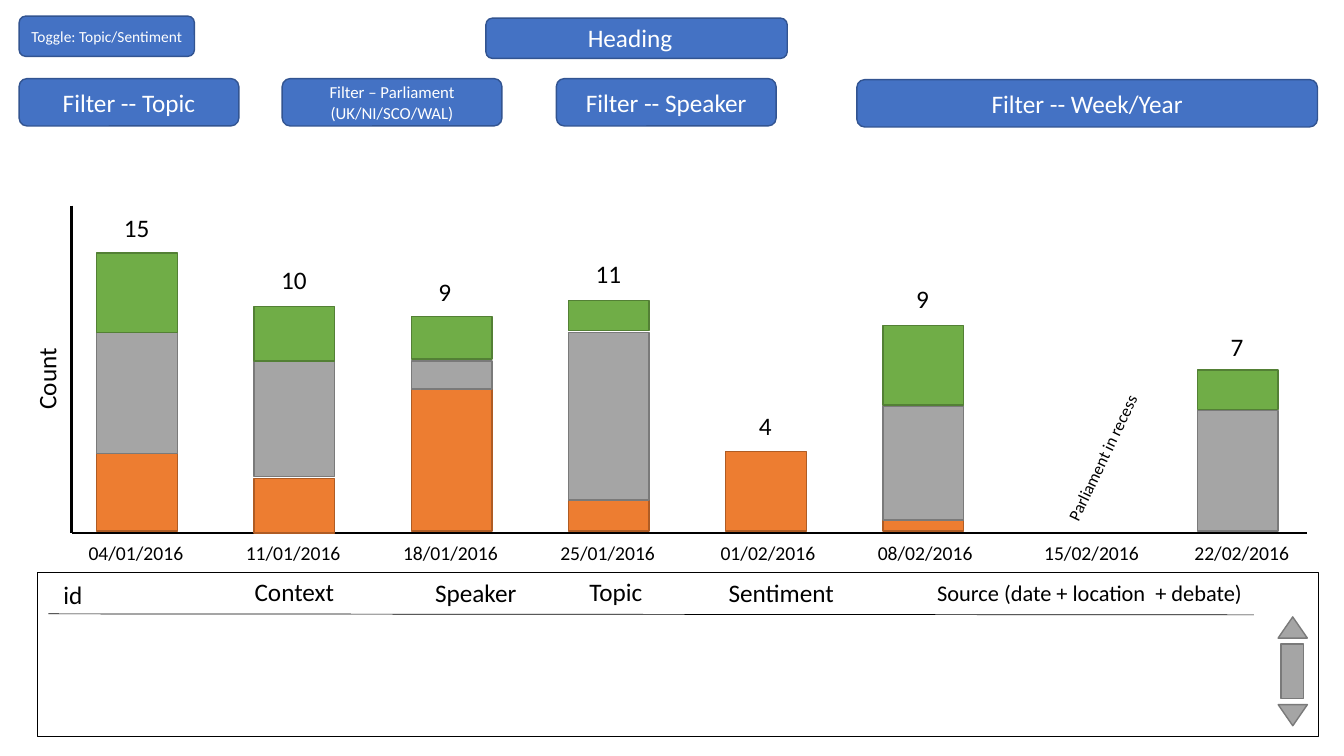
import pptx
import pptx.util
import pptx.dml.color
import pptx.enum.shapes
import pptx.enum.text
import pptx.oxml.ns
import lxml.etree

SHAPE = pptx.enum.shapes.MSO_SHAPE
ALIGN = pptx.enum.text.PP_ALIGN
COLORS = {
    "black": "000000", "white": "FFFFFF",
    "blue": "4472C4", "blue edge": "325491",
    "orange": "ED7D31", "orange edge": "AF5C24",
    "gray": "A5A5A5", "gray edge": "7A7A7A",
    "green": "70AD47", "green edge": "538035",
}

deck = pptx.Presentation()
deck.slide_width = pptx.util.Inches(13.33)
deck.slide_height = pptx.util.Inches(7.5)
page = deck.slides.add_slide(deck.slide_layouts[5])
COLUMN = deck.slide_width / 80
ROW = deck.slide_height / 45


def draw(kind, left, top, width, height, fill, edge):
    shape = page.shapes.add_shape(
        kind, int(left * COLUMN), int(top * ROW), int(width * COLUMN), int(height * ROW))
    shape.shadow.inherit = False
    shape.fill.solid()
    shape.fill.fore_color.rgb = pptx.dml.color.RGBColor.from_string(COLORS[fill])
    shape.line.color.rgb = pptx.dml.color.RGBColor.from_string(COLORS[edge])
    shape.line.width = pptx.util.Pt(1)
    return shape


def write(text, size, color, align, left, top, width, height, wrap=True, box=None):
    box = box or page.shapes.add_textbox(0, 0, 0, 0)
    box.left, box.top = int(left * COLUMN), int(top * ROW)
    box.width, box.height = int(width * COLUMN), int(height * ROW)
    frame = box.text_frame
    frame.text = text
    frame.word_wrap = wrap
    frame.auto_size = pptx.enum.text.MSO_AUTO_SIZE.NONE
    frame.vertical_anchor = pptx.enum.text.MSO_ANCHOR.MIDDLE
    para = frame.paragraphs[0]
    para.alignment = align
    span = para.runs[0]
    span.font.size = pptx.util.Pt(size)
    span.font.name = "Calibri"
    span.font.color.rgb = pptx.dml.color.RGBColor.from_string(COLORS[color])
    return box


draw(SHAPE.RECTANGLE, 2.22, 34.08, 76.26, 9.78, "white", "black")

draw(SHAPE.ROUNDED_RECTANGLE, 28.92, 1.08, 17.94, 2.4, "blue", "blue edge")
title = page.shapes.title
write("Heading", 18, "white", ALIGN.CENTER, 30.06, 1.02, 14.88, 2.4, box=title)
title.element.getparent().append(title.element)

buttons = [
    ("Toggle: Topic/Sentiment", 11, 1.14, 0.96, 10.44, 2.4),
    ("Filter -- Topic", 18, 1.14, 4.68, 13.08, 2.82),
    ("Filter – Parliament (UK/NI/SCO/WAL)", 12, 16.8, 4.68, 13.08, 2.82),
    ("Filter -- Speaker", 18, 33.12, 4.68, 13.08, 2.82),
    ("Filter -- Week/Year", 18, 51, 4.74, 27.42, 2.82),
]
for label, size, *area in buttons:
    button = draw(SHAPE.ROUNDED_RECTANGLE, *area, "blue", "blue edge")
    write(label, size, "white", ALIGN.CENTER, *area, box=button)
    button.text_frame.margin_top = button.text_frame.margin_bottom = 0

rules = [
    (4.26, 12.24, 4.26, 31.74, 1.5),
    (4.26, 31.74, 77.82, 31.74, 1.5),
    (2.88, 36.54, 74.64, 36.6, 0.5),
]
for left, top, right, bottom, weight in rules:
    rule = page.shapes.add_connector(
        pptx.enum.shapes.MSO_CONNECTOR.STRAIGHT,
        int(left * COLUMN), int(top * ROW), int(right * COLUMN), int(bottom * ROW))
    rule.line.color.rgb = pptx.dml.color.RGBColor.from_string(COLORS["black"])
    rule.line.width = pptx.util.Pt(weight)
    lxml.etree.SubElement(rule.element.spPr, pptx.oxml.ns.qn("a:effectLst"))

headers = [
    ("id", 18, ALIGN.LEFT, 3.18, 34.2, 2.58),
    ("Context", 18, ALIGN.CENTER, 6.42, 34.02, 22.2),
    ("Speaker", 18, ALIGN.CENTER, 24.9, 34.08, 6.84),
    ("Topic", 18, ALIGN.CENTER, 33.84, 34.02, 5.64),
    ("Sentiment", 18, ALIGN.CENTER, 42.18, 34.08, 8.64),
    ("Source (date + location  + debate)", 16, ALIGN.LEFT, 55.2, 34.08, 20.34),
]
for label, size, align, left, top, width in headers:
    write(label, size, "black", align, left, top, width, 2.4)

draw(SHAPE.RECTANGLE, 76.26, 38.34, 1.32, 3.24, "gray", "gray edge")
for top, turn in [(36.72, 0), (41.94, 180)]:
    arrow = draw(SHAPE.ISOSCELES_TRIANGLE, 76.08, top, 1.74, 1.26, "gray", "gray edge")
    arrow.rotation = turn

weeks = [
    ("04/01/2016", 0, ("15", 1.02, 12.36),
     {"orange": (26.88, 4.74), "gray": (19.8, 7.2), "green": (15.06, 4.74)}),
    ("11/01/2016", 0, ("10", 1.02, 15.42),
     {"orange": (28.5, 3.24), "gray": (21.48, 6.9), "green": (18.24, 3.24)}),
    ("18/01/2016", 0, ("9", 1.02, 16.14),
     {"orange": (23.16, 8.46), "gray": (21.48, 1.68), "green": (18.84, 2.52)}),
    ("25/01/2016", 0, ("11", 1.02, 15.06),
     {"orange": (26.88, 4.74), "gray": (19.8, 9.96), "green": (17.88, 1.8)}),
    ("01/02/2016", 0.18, ("4", 1.38, 24.12), {"orange": (26.88, 4.74)}),
    ("08/02/2016", 0.18, ("9", 1.38, 16.56),
     {"orange": (26.88, 4.74), "gray": (24.18, 6.78), "green": (19.38, 4.74)}),
    ("15/02/2016", 0.72, None, {}),
    ("22/02/2016", 0.3, ("7", 1.38, 19.44),
     {"gray": (24.42, 7.2), "green": (22.02, 2.34)}),
]
for index, (date, nudge, total, segments) in enumerate(weeks):
    left = 5.76 + index * 9.36
    for color, (top, height) in segments.items():
        draw(SHAPE.RECTANGLE, left, top, 4.8, height, color, color + " edge")
    write(date, 14, "black", ALIGN.LEFT, left - 1.08 + nudge, 31.86, 6.9, 2.04, wrap=False)
    if total:
        count, shift, top = total
        width = 1.2 + 0.78 * len(count)
        write(count, 18, "black", ALIGN.LEFT, left + shift, top, width, 2.4, wrap=False)

axis_name = write("Count", 18, "black", ALIGN.LEFT, 0.3, 21.3, 4.92, 2.4, wrap=False)
axis_name.rotation = 270
recess = write("Parliament in recess", 12, "black", ALIGN.LEFT, 60.9, 26.28, 9.48, 1.8, wrap=False)
recess.rotation = 295.7

deck.save("out.pptx")
